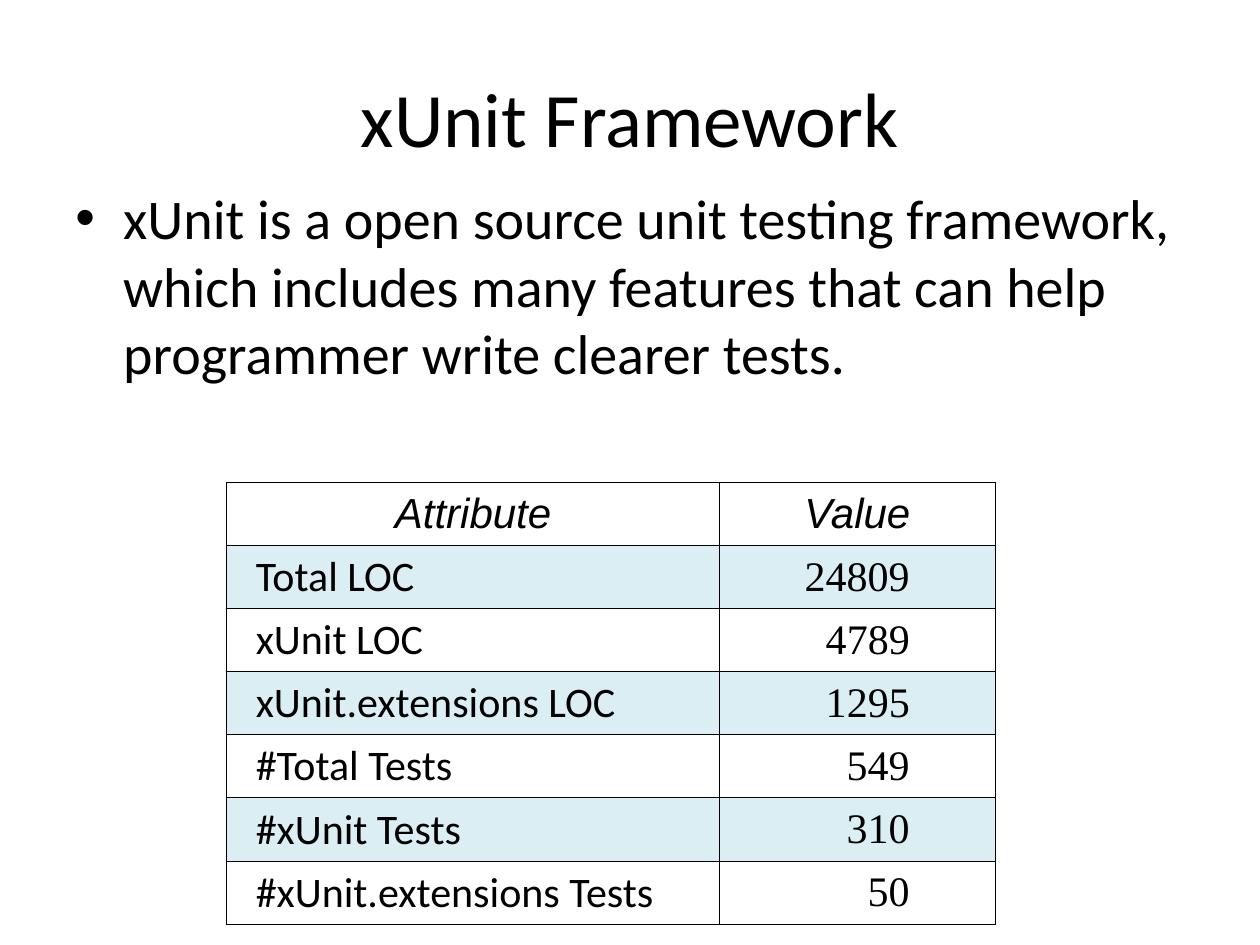
from lxml import etree
from pptx import Presentation
from pptx.dml.color import RGBColor
from pptx.enum.text import MSO_ANCHOR, PP_ALIGN
from pptx.oxml.ns import qn
from pptx.util import Inches, Pt

LEFT, CENTER, RIGHT = PP_ALIGN.LEFT, PP_ALIGN.CENTER, PP_ALIGN.RIGHT
MIDDLE = MSO_ANCHOR.MIDDLE
BLACK = RGBColor(0, 0, 0)
WHITE = RGBColor(255, 255, 255)
BLUE = RGBColor(0xDB, 0xEE, 0xF4)

ROWS = [
    ("Attribute", "Value"),
    ("Total LOC", "24809"),
    ("xUnit LOC", "4789"),
    ("xUnit.extensions LOC", "1295"),
    ("#Total Tests", "549"),
    ("#xUnit Tests", "310"),
    ("#xUnit.extensions Tests", "50"),
]
WIDTHS = (3.91, 2.19)
HEAD = {"name": "Arial", "italic": True}
# Font, alignment and side margins of each body column
COLS = [
    ({"name": "Calibri"}, LEFT, 0.23, 0.08),
    ({"name": "Times New Roman"}, RIGHT, 0.08, 0.68),
]


def write(frame, text, size, align, **font):
    para = frame.paragraphs[0]
    para.alignment = align
    run = para.add_run()
    run.text = text
    for key, value in {"size": Pt(size), **font}.items():
        setattr(run.font, key, value)
    run.font.color.rgb = BLACK
    return para


def add_title(slide, text):
    title = slide.shapes.title
    spots = {"left": 0.5, "top": 0.3, "width": 9, "height": 1.25}
    for key, value in spots.items():
        setattr(title, key, Inches(value))
    title.text_frame.vertical_anchor = MIDDLE
    write(title.text_frame, text, 44, CENTER, name="Calibri")


def add_bullet(slide, text):
    box = slide.shapes.add_textbox(
        Inches(0.5), Inches(1.41), Inches(9), Inches(2.16))
    box.text_frame.word_wrap = True
    para = write(box.text_frame, text, 32, LEFT, name="Calibri")
    para.space_before = Pt(8)
    props = para._p.get_or_add_pPr()
    props.set("marL", str(Inches(0.38)))
    props.set("indent", str(Inches(-0.38)))
    etree.SubElement(props, qn("a:buFont"), typeface="Arial")
    etree.SubElement(props, qn("a:buChar"), char="•")


def add_edges(cell):
    props = cell._tc.get_or_add_tcPr()
    # Borders come before the fill in the cell properties
    for spot, side in enumerate(("lnL", "lnR", "lnT", "lnB")):
        line = etree.Element(qn("a:" + side), w=str(Pt(0.45)))
        fill = etree.SubElement(line, qn("a:solidFill"))
        etree.SubElement(fill, qn("a:srgbClr"), val=str(BLACK))
        props.insert(spot, line)


def add_grid(slide):
    frame = slide.shapes.add_table(
        len(ROWS), len(WIDTHS), Inches(1.8), Inches(3.83),
        Inches(sum(WIDTHS)), Inches(0.44 * len(ROWS)))
    table = frame.table
    for col, width in zip(table.columns, WIDTHS):
        col.width = Inches(width)
    for r, row in enumerate(ROWS):
        for c, text in enumerate(row):
            cell = table.cell(r, c)
            font, align, left, right = COLS[c] if r else (HEAD, CENTER, 0.08, 0.08)
            looks = {
                "vertical_anchor": MIDDLE,
                "margin_left": Inches(left),
                "margin_right": Inches(right),
                "margin_top": Inches(0.05),
                "margin_bottom": Inches(0.05),
            }
            for key, value in looks.items():
                setattr(cell, key, value)
            cell.fill.solid()
            cell.fill.fore_color.rgb = BLUE if r % 2 else WHITE
            write(cell.text_frame, text, 24, align, **{"bold": False, **font})
            add_edges(cell)


def main():
    deck = Presentation()
    deck.slide_width, deck.slide_height = Inches(10), Inches(7.5)
    slide = deck.slides.add_slide(deck.slide_layouts[5])
    add_title(slide, "xUnit Framework")
    add_bullet(slide, "xUnit is a open source unit testing framework, which "
                      "includes many features that can help programmer write "
                      "clearer tests.")
    add_grid(slide)
    deck.save("out.pptx")


if __name__ == "__main__":
    main()
